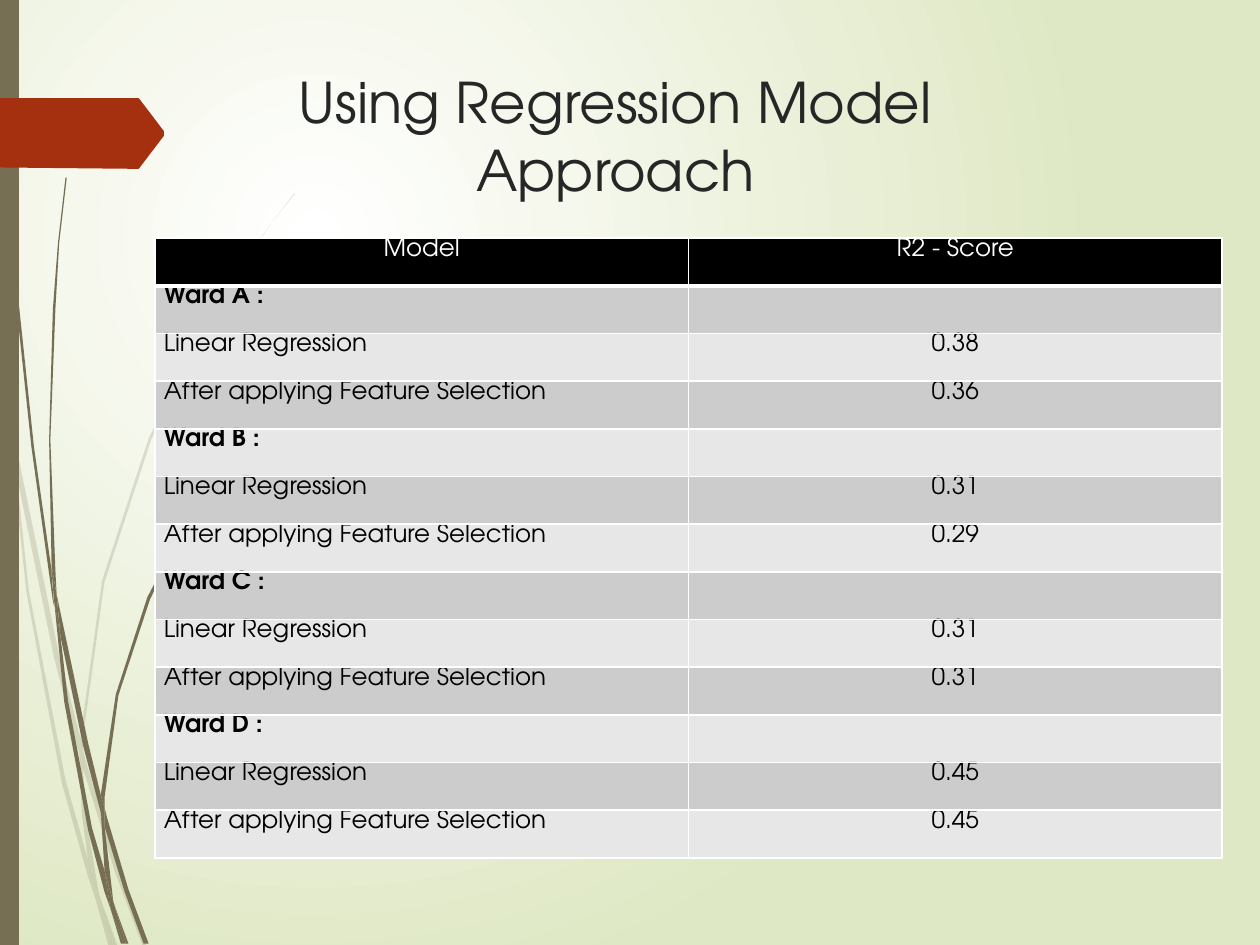
from lxml.etree import SubElement
from pptx import Presentation
from pptx.dml.color import RGBColor
from pptx.enum.shapes import MSO_SHAPE
from pptx.enum.text import MSO_ANCHOR, PP_ALIGN
from pptx.oxml.ns import qn
from pptx.util import Emu, Inches, Pt

FONT = "TeX Gyre Adventor"
COLS, ROWS = 1000, 750  # slide grid
CELL = Inches(10) // COLS

# Outlines as "column,row" points on the grid
PALE_GRASS = [
    "8,350 6,322 0,282 0,299 8,344",
    "43,522 63,599 64,586 47,520 11,345 13,376",
    "69,607 66,596 66,610 92,694 113,750 116,750 95,692",
    "89,750 93,750 79,711",
    "70,683 52,619 23,469 13,376 8,350 21,470 49,621 69,693 76,714 74,707",
    "63,599 65,646 70,683 72,692 79,711 78,706 68,646 66,610 66,608",
    "66,584 83,462 120,349 171,245 201,198 217,175 234,154 234,153 217,175 "
    "201,197 171,244 118,348 81,461 64,584 64,586 66,596",
    "76,714 86,750 89,750",
    "66,608 66,610 66,596 64,586 63,599",
    "72,692 70,683 74,707 76,714 89,750 79,711",
]
DARK_GRASS = [
    "5,110 12,233 25,355 42,477 43,481 41,457 41,453 27,355 14,232 6,109 "
    "3,48 3,0 2,0 3,48",
    "66,592 80,645 80,633 80,631 70,590 45,472 48,505",
    "85,649 83,641 83,656 99,708 114,749 118,749 102,706",
    "83,691 73,657 54,556 48,505 43,477 51,557 70,659 83,708 88,722 87,717",
    "45,472 44,453 40,349 44,245 47,193 53,141 52,141 46,193 42,245 39,349 "
    "41,449",
    "100,749 102,749 91,719",
    "43,477 48,505 45,472 41,449 41,453",
    "83,633 94,552 119,476 153,406 173,374 184,359 196,344 195,344 184,358 "
    "173,373 153,405 117,474 92,551 80,631 83,641",
    "88,722 96,749 98,749",
    "80,645 83,691 87,706 91,719 90,716 83,656 81,651",
    "80,645 81,651 83,656 83,641 80,631 80,633",
    "87,706 83,691 87,717 88,722 98,749 100,749 91,719",
]
ARROW = ("130,108 111,133 110,134 102,134 0,133 0,78 102,78 110,78 111,79 "
         "130,104 130.5,106")

# Ward, score of linear regression, score after feature selection
WARDS = [("A", "0.38", "0.36"), ("B", "0.31", "0.29"),
         ("C", "0.31", "0.31"), ("D", "0.45", "0.45")]


def rgb(color):
    return RGBColor.from_string(color)


def grid(*cells):
    return [Emu(round(c * CELL)) for c in cells]


class SlideBuilder:
    ink, brown, red = "262626", "766F54", "A53010"
    head, bands, line = "000000", ("CCCCCC", "E7E7E7"), "FFFFFF"

    def __init__(self, prs):
        self.s = prs.slides.add_slide(prs.slide_layouts[6])

    def background(self, inner, outer):
        fill = self.s.background.fill
        fill.gradient()
        for stop, color in zip(fill.gradient_stops, (inner, outer)):
            stop.color.rgb = rgb(color)
        grad = self.s.element.find(".//" + qn("a:gradFill"))
        grad.remove(grad.find(qn("a:lin")))
        circle = SubElement(grad, qn("a:path"), {"path": "circle"})
        SubElement(circle, qn("a:fillToRect"),
                   dict(l="50000", t="50000", r="100000", b="100000"))

    def paint(self, sp, color, opacity=100):
        sp.shadow.inherit = False
        sp.line.fill.background()
        sp.fill.solid()
        sp.fill.fore_color.rgb = rgb(color)
        if opacity < 100:
            clr = sp.element.spPr.find(qn("a:solidFill")).find(qn("a:srgbClr"))
            SubElement(clr, qn("a:alpha"), {"val": str(opacity * 1000)})

    def outline(self, points, color, opacity=100):
        start, *rest = [tuple(map(float, p.split(","))) for p in points.split()]
        fb = self.s.shapes.build_freeform(*start, scale=CELL)
        fb.add_line_segments(rest, close=True)
        self.paint(fb.convert_to_shape(), color, opacity)

    def bar(self, x, y, w, h, color):
        sp = self.s.shapes.add_shape(MSO_SHAPE.RECTANGLE, *grid(x, y, w, h))
        self.paint(sp, color)

    def text_run(self, p, text, size, color, bold=False, align=PP_ALIGN.LEFT):
        p.alignment = align
        r = p.add_run()
        r.text = text
        r.font.name, r.font.size, r.font.bold = FONT, Pt(size), bold
        r.font.color.rgb = rgb(color)

    def title(self, x, y, w, h, text):
        tf = self.s.shapes.add_textbox(*grid(x, y, w, h)).text_frame
        tf.word_wrap = True
        tf.vertical_anchor = MSO_ANCHOR.TOP
        self.text_run(tf.paragraphs[0], text, 32, self.ink,
                      align=PP_ALIGN.CENTER)

    def borders(self, cell, bottom):
        tc_pr = cell._tc.get_or_add_tcPr()
        for side, width in dict(L=1, R=1, T=1, B=bottom).items():
            ln = SubElement(tc_pr, qn("a:ln" + side), {"w": str(Pt(width))})
            fill = SubElement(ln, qn("a:solidFill"))
            SubElement(fill, qn("a:srgbClr"), {"val": self.line})

    def table(self, x, y, w, h, rows):
        frame = self.s.shapes.add_table(len(rows), len(rows[0]),
                                        *grid(x, y, w, h))
        for i, row in enumerate(rows):
            header = i == 0
            for j, text in enumerate(row):
                cell = frame.table.cell(i, j)
                cell.margin_left = cell.margin_right = Inches(0.07)
                cell.margin_top = cell.margin_bottom = 0
                self.borders(cell, 3 if header else 1)
                cell.fill.solid()
                cell.fill.fore_color.rgb = rgb(
                    self.head if header else self.bands[(i - 1) % 2])
                if text:
                    self.text_run(cell.text_frame.paragraphs[0], text, 14,
                                  self.line if header else self.head,
                                  bold=text.startswith("Ward"),
                                  align=PP_ALIGN.CENTER if header or j
                                  else PP_ALIGN.LEFT)


def main():
    prs = Presentation()
    prs.slide_width, prs.slide_height = grid(COLS, ROWS)
    b = SlideBuilder(prs)

    # Backdrop: gradient, grass, side bar and arrow
    b.background("FFFFFF", "DFE8C4")
    for blade in PALE_GRASS:
        b.outline(blade, b.brown, opacity=20)
    for blade in DARK_GRASS:
        b.outline(blade, b.brown)
    b.bar(0, 0, 15, ROWS, b.brown)
    b.outline(ARROW, b.red)

    # Title and score table
    b.title(123, 49, 731, 140, "Using Regression Model Approach")
    rows = [("Model", "R2 - Score")]
    for ward, linear, selected in WARDS:
        rows += [(f"Ward {ward} :", ""),
                 ("Linear Regression", linear),
                 ("After applying Feature Selection", selected)]
    b.table(123, 189, 847, 492, rows)

    prs.save("out.pptx")


if __name__ == "__main__":
    main()
